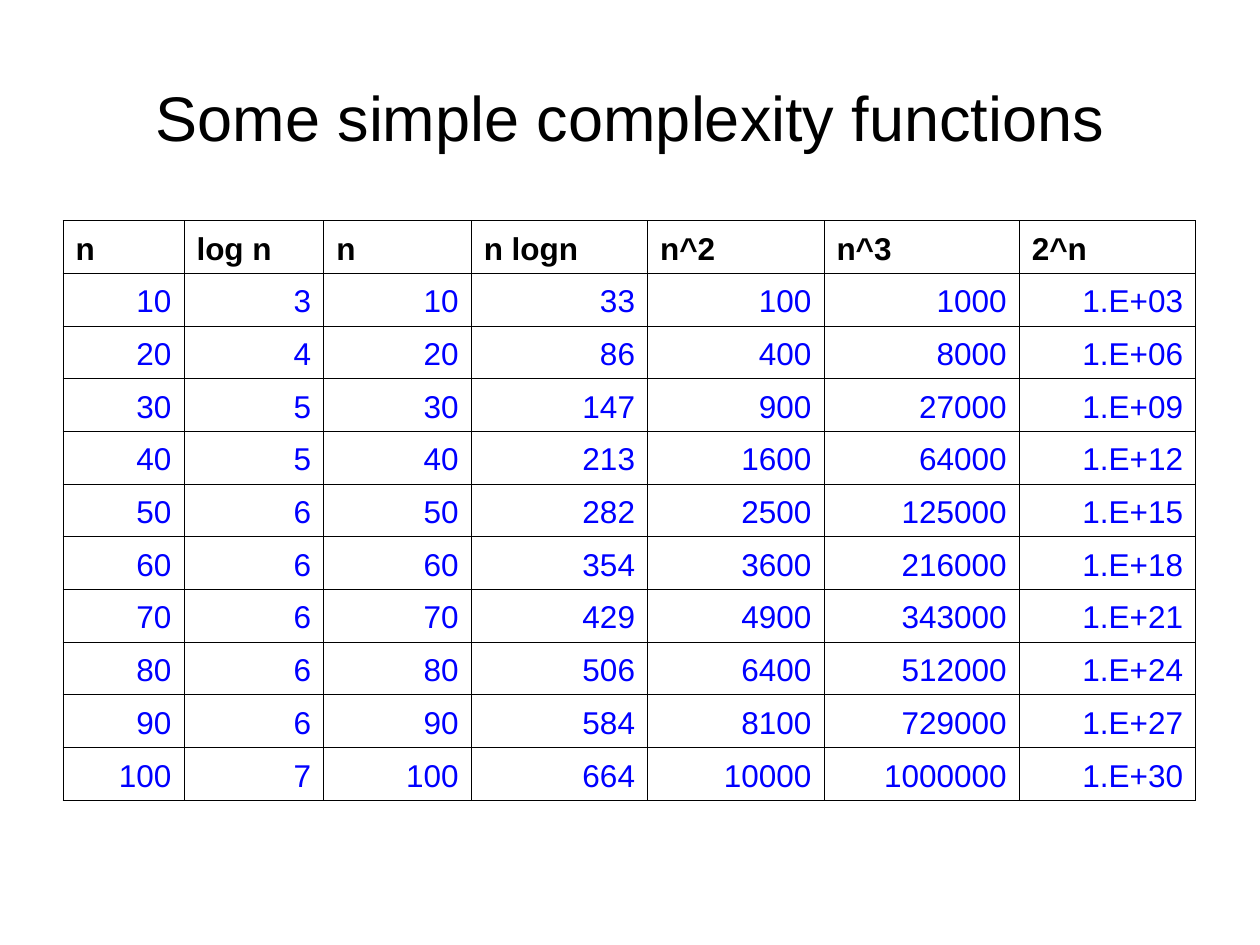
"""Build a slide tabulating the growth of simple complexity functions."""
import dataclasses
import math

import lxml.etree
import pptx
import pptx.dml.color
import pptx.enum.text
import pptx.oxml.ns
import pptx.util

Inches = pptx.util.Inches
ALIGN = pptx.enum.text.PP_ALIGN
ANCHOR = pptx.enum.text.MSO_ANCHOR


@dataclasses.dataclass(frozen=True)
class Theme:
    font: str = "Arial"
    ink: str = "000000"
    number: str = "0000FF"
    title_size: int = 36
    table_size: int = 18
    border_width: float = 0.45


def write(frame, text, *, font, size, color, bold=False, align=ALIGN.LEFT):
    paragraph = frame.paragraphs[0]
    paragraph.alignment = align
    run = paragraph.add_run()
    run.text = text
    run.font.name = font
    run.font.size = pptx.util.Pt(size)
    run.font.bold = bold
    run.font.color.rgb = pptx.dml.color.RGBColor.from_string(color)


class SlideBuilder:
    def __init__(self, slide, theme):
        self.slide = slide
        self.theme = theme

    def title(self, text, left, top, width, height):
        heading = self.slide.shapes.title
        heading.left, heading.top = left, top
        heading.width, heading.height = width, height
        heading.text_frame.vertical_anchor = ANCHOR.MIDDLE
        write(heading.text_frame, text, font=self.theme.font,
              size=self.theme.title_size, color=self.theme.ink, align=ALIGN.CENTER)

    def border(self, cell):
        qn = pptx.oxml.ns.qn
        properties = cell._tc.get_or_add_tcPr()
        width = str(pptx.util.Pt(self.theme.border_width))
        for side in ("lnL", "lnR", "lnT", "lnB"):
            line = lxml.etree.SubElement(properties, qn(f"a:{side}"), w=width)
            fill = lxml.etree.SubElement(line, qn("a:solidFill"))
            lxml.etree.SubElement(fill, qn("a:srgbClr"), val=self.theme.ink)

    def table(self, header, rows, left, top, widths, height):
        lines = [header, *rows]
        grid = self.slide.shapes.add_table(
            len(lines), len(header), left, top, sum(widths), height).table
        for column, width in zip(grid.columns, widths):
            column.width = width
        for line_index, line in enumerate(lines):
            is_header = line_index == 0
            for column_index, value in enumerate(line):
                cell = grid.cell(line_index, column_index)
                self.border(cell)
                cell.fill.background()
                cell.vertical_anchor = ANCHOR.BOTTOM
                write(cell.text_frame, value, font=self.theme.font,
                      size=self.theme.table_size, bold=is_header,
                      color=self.theme.ink if is_header else self.theme.number,
                      align=ALIGN.LEFT if is_header else ALIGN.RIGHT)


def growth_row(n):
    log_n = math.log2(n)
    values = (n, round(log_n), n, round(n * log_n), n ** 2, n ** 3)
    return [*map(str, values), f"{2 ** n:#.0E}"]


def main():
    deck = pptx.Presentation()
    deck.slide_width, deck.slide_height = Inches(10), Inches(7.5)
    builder = SlideBuilder(deck.slides.add_slide(deck.slide_layouts[5]), Theme())
    builder.title("Some simple complexity functions",
                  Inches(0.5), Inches(0.3), Inches(9), Inches(1.25))
    functions = ("n", "log n", "n", "n logn", "n^2", "n^3", "2^n")
    widths = [Inches(w) for w in (0.96, 1.11, 1.17, 1.4, 1.4, 1.55, 1.4)]
    growth = [growth_row(n) for n in range(10, 101, 10)]
    builder.table(functions, growth, Inches(0.5), Inches(1.75), widths, Inches(4.6))
    deck.save("out.pptx")


if __name__ == "__main__":
    main()
